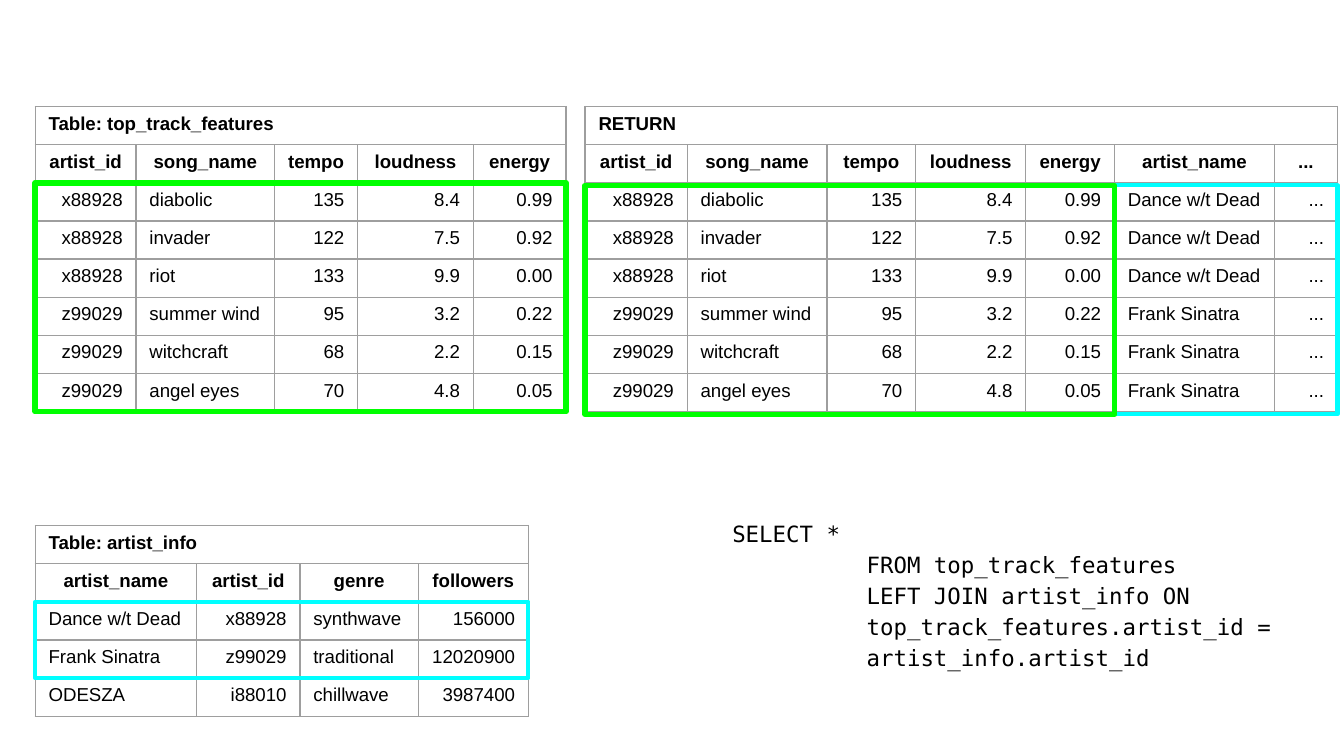
from dataclasses import dataclass

from lxml import etree
from pptx import Presentation
from pptx.dml.color import RGBColor
from pptx.enum.shapes import MSO_SHAPE
from pptx.enum.text import PP_ALIGN
from pptx.oxml.ns import qn
from pptx.util import Inches, Pt

RECTANGLE = MSO_SHAPE.RECTANGLE
CENTER = PP_ALIGN.CENTER
ALIGNMENTS = {"l": PP_ALIGN.LEFT, "r": PP_ALIGN.RIGHT}


@dataclass(frozen=True)
class Theme:
    ink: str = "000000"
    paper: str = "FFFFFF"
    grid_line: str = "9E9E9E"
    track_outline: str = "00FF00"
    artist_outline: str = "00FFFF"
    table_font: str = "Arial"
    code_font: str = "DejaVu Sans Mono"
    table_size: float = 10
    code_size: float = 12
    border: float = 0.75
    row_height: float = 2.84


def grid(units):
    """One grid unit is a hundredth of the slide's width."""
    return Inches(units / 10)


def write(paragraph, text, *, font, size, color, bold=False, align=None, spacing=None):
    run = paragraph.add_run()
    run.text = text
    run.font.name, run.font.size, run.font.bold = font, Pt(size), bold
    run.font.color.rgb = RGBColor.from_string(color)
    paragraph.alignment = align
    paragraph.line_spacing = spacing


class SlideBuilder:
    def __init__(self, slide, theme):
        self.slide = slide
        self.theme = theme

    def style_cell(self, cell, fill):
        properties = cell._tc.get_or_add_tcPr()
        for side in ("lnL", "lnR", "lnT", "lnB"):
            line = etree.SubElement(properties, qn(f"a:{side}"), w=str(Pt(self.theme.border)))
            solid = etree.SubElement(line, qn("a:solidFill"))
            etree.SubElement(solid, qn("a:srgbClr"), val=self.theme.grid_line)
        if fill:
            cell.fill.solid()
            cell.fill.fore_color.rgb = RGBColor.from_string(fill)
        else:
            cell.fill.background()

    def table(self, left, top, widths, title, header, records, alignments, fill=None):
        theme = self.theme
        rows = [[title] + [""] * (len(header) - 1), header, *records]
        frame = self.slide.shapes.add_table(
            len(rows), len(widths), grid(left), grid(top),
            grid(sum(widths)), grid(theme.row_height * len(rows)))
        table = frame.table
        table.first_row = table.horz_banding = False
        for column, width in zip(table.columns, widths):
            column.width = grid(width)
        for row_index, values in enumerate(rows):
            table.rows[row_index].height = grid(theme.row_height)
            for column_index, value in enumerate(values):
                cell = table.cell(row_index, column_index)
                self.style_cell(cell, fill)
                if not value:
                    continue
                align = ALIGNMENTS[alignments[column_index]]
                if row_index < 2:
                    align = CENTER if row_index else ALIGNMENTS["l"]
                write(cell.text_frame.paragraphs[0], value, font=theme.table_font,
                      size=theme.table_size, color=theme.ink, bold=row_index < 2, align=align)
        table.cell(0, 0).merge(table.cell(0, len(widths) - 1))

    def outline(self, left, top, width, row_count, color, weight):
        shape = self.slide.shapes.add_shape(
            RECTANGLE, grid(left), grid(top), grid(width),
            grid(row_count * self.theme.row_height))
        shape.shadow.inherit = False
        shape.fill.background()
        shape.line.color.rgb = RGBColor.from_string(color)
        shape.line.width = Pt(weight)

    def code(self, left, top, width, height, lines):
        theme = self.theme
        box = self.slide.shapes.add_textbox(grid(left), grid(top), grid(width), grid(height))
        frame = box.text_frame
        frame.word_wrap = True
        frame.margin_left = frame.margin_right = frame.margin_top = frame.margin_bottom = grid(1)
        for index, text in enumerate(lines):
            paragraph = frame.add_paragraph() if index else frame.paragraphs[0]
            properties = paragraph._p.get_or_add_pPr()
            stops = etree.SubElement(properties, qn("a:tabLst"))
            etree.SubElement(stops, qn("a:tab"), pos=str(grid(10)), algn="l")
            write(paragraph, text, font=theme.code_font, size=theme.code_size,
                  color=theme.ink, spacing=1.15)


# Data: the result is the left join of tracks and artists
TRACK_HEADER = ["artist_id", "song_name", "tempo", "loudness", "energy"]
TRACKS = [
    ["x88928", "diabolic", "135", "8.4", "0.99"],
    ["x88928", "invader", "122", "7.5", "0.92"],
    ["x88928", "riot", "133", "9.9", "0.00"],
    ["z99029", "summer wind", "95", "3.2", "0.22"],
    ["z99029", "witchcraft", "68", "2.2", "0.15"],
    ["z99029", "angel eyes", "70", "4.8", "0.05"],
]
ARTIST_HEADER = ["artist_name", "artist_id", "genre", "followers"]
ARTISTS = [
    ["Dance w/t Dead", "x88928", "synthwave", "156000"],
    ["Frank Sinatra", "z99029", "traditional", "12020900"],
    ["ODESZA", "i88010", "chillwave", "3987400"],
]
ARTIST_NAMES = {artist[1]: artist[0] for artist in ARTISTS}
JOINED = [track + [ARTIST_NAMES[track[0]], "..."] for track in TRACKS]
QUERY = [
    "SELECT *",
    "\tFROM top_track_features",
    "\tLEFT JOIN artist_info ON",
    "\ttop_track_features.artist_id =",
    "\tartist_info.artist_id",
]


def main():
    theme = Theme()
    presentation = Presentation()
    presentation.slide_width = Inches(10)
    presentation.slide_height = presentation.slide_width * 9 // 16
    slide = presentation.slides.add_slide(presentation.slide_layouts[6])
    builder = SlideBuilder(slide, theme)
    left, result_left, top, artist_top = 2.62, 43.53, 7.92, 39.1
    header_height = 2 * theme.row_height

    # Track table
    track_widths = [7.5, 10.3, 6.2, 8.6, 6.9]
    builder.table(left, top, track_widths, "Table: top_track_features",
                  TRACK_HEADER, TRACKS, "rlrrr", theme.paper)
    builder.outline(left, top + header_height, sum(track_widths), len(TRACKS),
                    theme.track_outline, 3)

    # Query
    builder.code(53.5, 37.44, 43.9, 12.6, QUERY)

    # Artist table, with the matched artists outlined
    artist_widths = [12, 7.7, 8.8, 8.2]
    builder.table(left, artist_top, artist_widths, "Table: artist_info",
                  ARTIST_HEADER, ARTISTS, "lrlr")
    builder.outline(left, artist_top + header_height, sum(artist_widths), 2,
                    theme.artist_outline, 2.25)

    # Joined result, outlined by the table each column comes from
    from_tracks, from_artists = [7.6, 10.4, 6.6, 8.2, 6.6], [11.9, 4.7]
    builder.table(result_left, top, from_tracks + from_artists, "RETURN",
                  TRACK_HEADER + ["artist_name", "..."], JOINED, "rlrrrlr", theme.paper)
    outline_top = top + header_height + 0.2
    builder.outline(result_left + sum(from_tracks), outline_top, sum(from_artists),
                    len(JOINED), theme.artist_outline, 2.25)
    builder.outline(result_left, outline_top, sum(from_tracks), len(JOINED),
                    theme.track_outline, 3)

    presentation.save("out.pptx")


if __name__ == "__main__":
    main()
